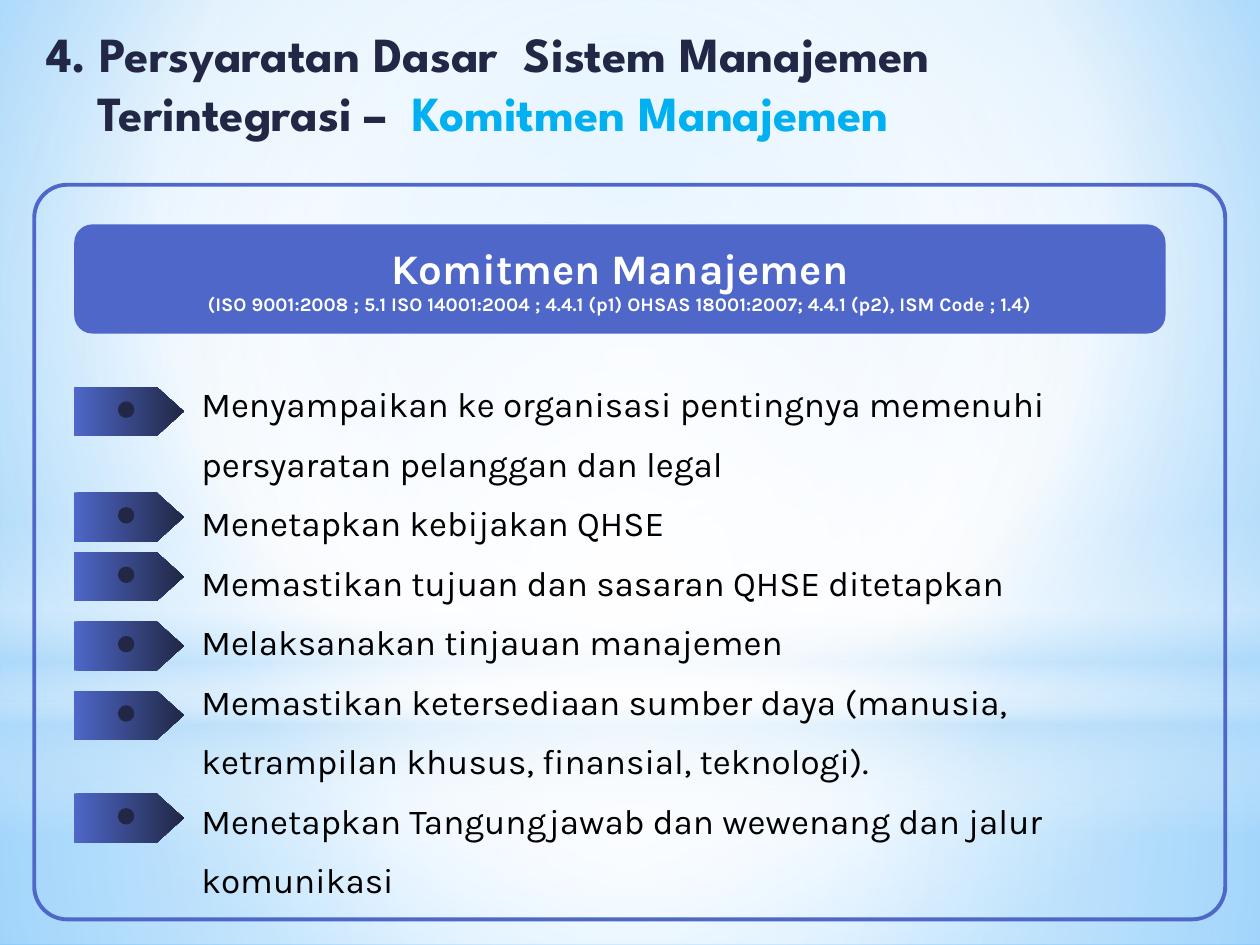
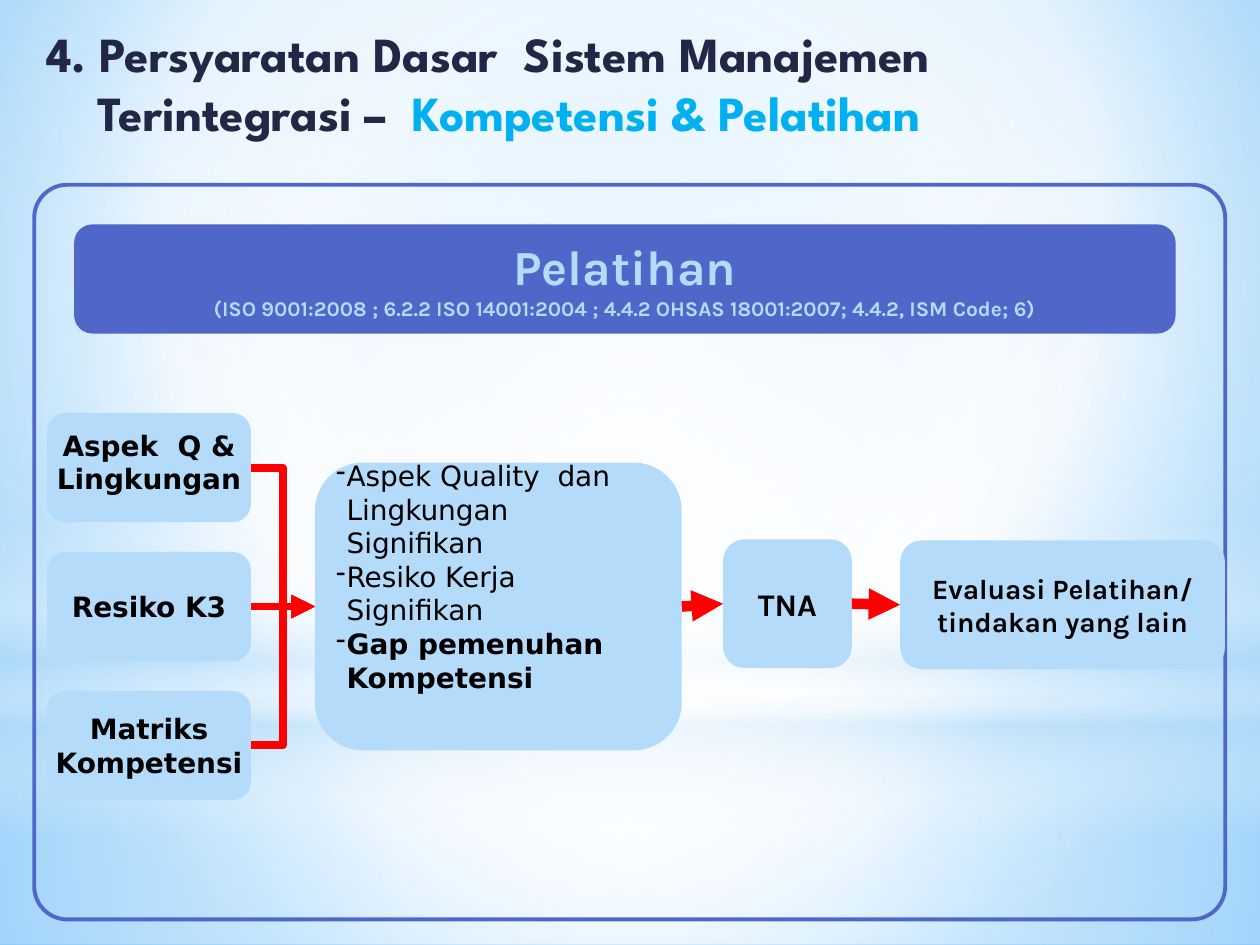
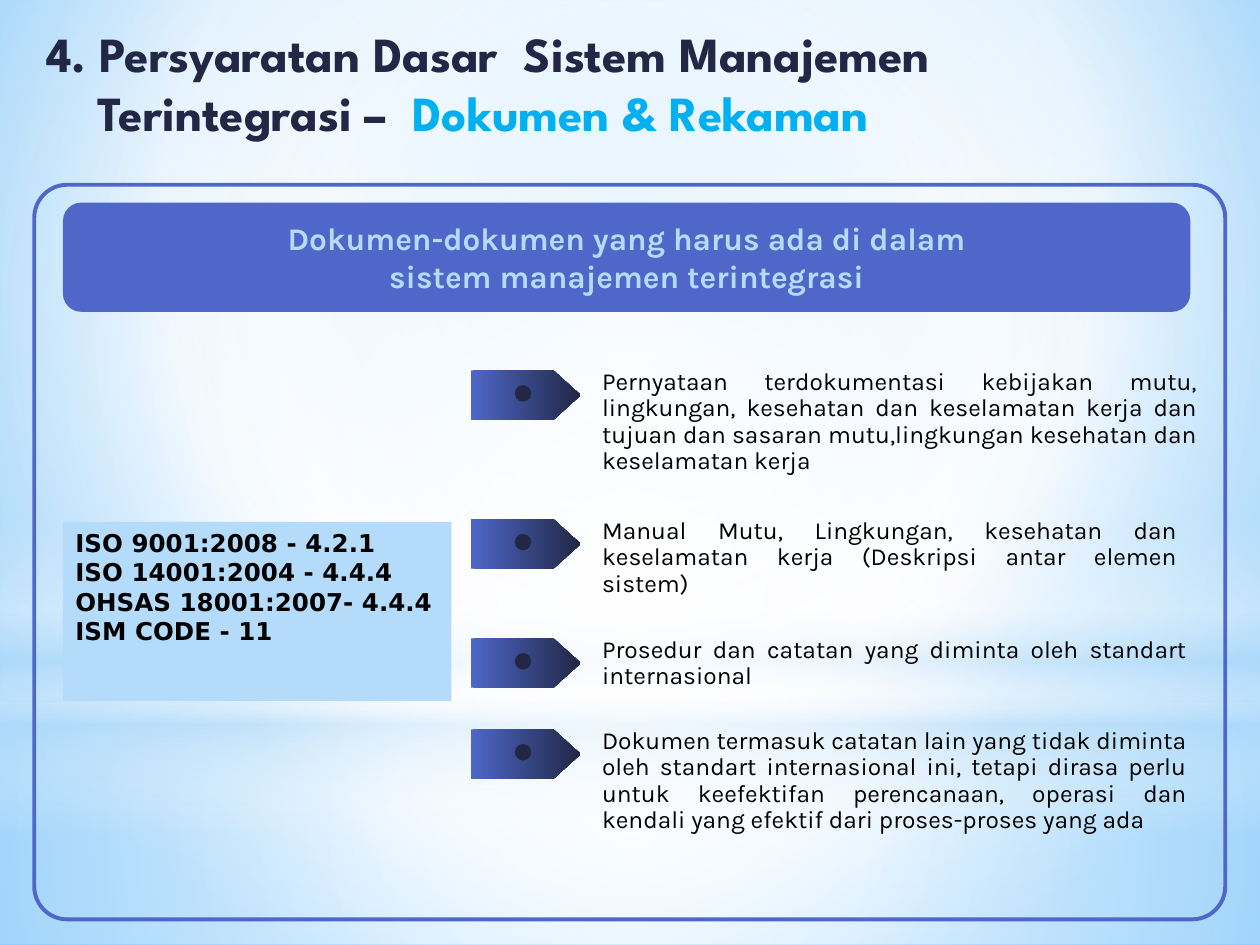
from dataclasses import dataclass

from lxml import etree
from pptx import Presentation
from pptx.dml.color import RGBColor
from pptx.enum.shapes import MSO_CONNECTOR, MSO_SHAPE
from pptx.enum.text import MSO_ANCHOR, PP_ALIGN
from pptx.oxml import parse_xml
from pptx.oxml.ns import qn
from pptx.util import Pt

RECTANGLE, ROUNDED = MSO_SHAPE.RECTANGLE, MSO_SHAPE.ROUNDED_RECTANGLE
OVAL, PENTAGON = MSO_SHAPE.OVAL, MSO_SHAPE.PENTAGON
STRAIGHT, ELBOW = MSO_CONNECTOR.STRAIGHT, MSO_CONNECTOR.ELBOW
LEFT, CENTER, JUSTIFY = PP_ALIGN.LEFT, PP_ALIGN.CENTER, PP_ALIGN.JUSTIFY
TOP, MIDDLE = MSO_ANCHOR.TOP, MSO_ANCHOR.MIDDLE
LEFT_SITE, RIGHT_SITE = 1, 3
DRAWING_NS = "http://schemas.openxmlformats.org/drawingml/2006/main"


@dataclass(frozen=True)
class Theme:
    navy: str = "212745"
    indigo: str = "4E67C8"
    sky: str = "B4DCFA"
    cyan: str = "00B0F0"
    white: str = "FFFFFF"
    black: str = "000000"
    red: str = "FF0000"
    title_font: str = "League Spartan"
    body_font: str = "Karla"
    label_font: str = "DejaVu Sans"
    title_size: int = 28
    list_size: int = 20
    node_size: int = 18
    label_size: int = 16
    small_size: int = 14


THEME = Theme()

# Content: titles and header bands
TITLE_LEAD = ("4. Persyaratan Dasar  Sistem Manajemen", "Terintegrasi –  ")
COMMITMENT_BAND = [
    ("Komitmen Manajemen", 24),
    ("(ISO 9001:2008 ; 5.1 ISO 14001:2004 ; 4.4.1 (p1) OHSAS 18001:2007; "
     "4.4.1 (p2), ISM Code ; 1.4)", 11)]
TRAINING_BAND = [
    ("Pelatihan", 28),
    ("(ISO 9001:2008 ; 6.2.2 ISO 14001:2004 ; 4.4.2 OHSAS 18001:2007; "
     "4.4.2, ISM Code; 6)", 12)]
DOCUMENT_BAND = [
    ("Dokumen-dokumen yang harus ada di dalam", 18),
    ("sistem manajemen terintegrasi", 18)]

# Content: (marker top, text)
COMMITMENTS = [
    (221, "Menyampaikan ke organisasi pentingnya memenuhi persyaratan pelanggan dan legal"),
    (281.4, "Menetapkan kebijakan QHSE"),
    (315.4, "Memastikan tujuan dan sasaran QHSE ditetapkan"),
    (355, "Melaksanakan tinjauan manajemen"),
    (394.6, "Memastikan ketersediaan sumber daya (manusia, ketrampilan khusus, "
            "finansial, teknologi)."),
    (453.4, "Menetapkan Tangungjawab dan wewenang dan jalur komunikasi")]

# Content: training flow
SOURCES = [["Aspek  Q &", "Lingkungan"], ["Resiko K3"], ["Matriks", "Kompetensi"]]
NEEDS = [("Aspek Quality  dan\vLingkungan\vSignifikan", False),
         ("Resiko Kerja\vSignifikan", False),
         ("Gap pemenuhan\vKompetensi", True)]
ANALYSIS = ["TNA"]
EVALUATION = ["Evaluasi Pelatihan/", "tindakan yang lain"]

# Content: (text top, text width, text)
DOCUMENTS = [
    (207.4, 363, "Pernyataan terdokumentasi kebijakan mutu, lingkungan, kesehatan dan "
                 "keselamatan kerja dan tujuan dan sasaran mutu,lingkungan kesehatan dan "
                 "keselamatan kerja"),
    (292.4, 351.4, "Manual Mutu, Lingkungan, kesehatan dan keselamatan kerja "
                   "(Deskripsi antar elemen sistem)"),
    (360.5, 357, "Prosedur dan catatan yang diminta oleh standart internasional"),
    (412.5, 357, "Dokumen termasuk catatan lain yang tidak diminta oleh standart "
                 "internasional ini, tetapi dirasa perlu untuk keefektifan perencanaan, "
                 "operasi dan kendali yang efektif dari proses-proses yang ada")]
CLAUSES = ["ISO 9001:2008 - 4.2.1", "ISO 14001:2004 - 4.4.4",
           "OHSAS 18001:2007- 4.4.4", "ISM CODE - 11"]

# Backdrop: stops are (position, colour, opacity); focus is left, top, right, bottom
CENTRE = (50, 50, 50, 50)
PAGE_STOPS = [(0, "9ED5FF", 100), (60, THEME.white, 100), (100, "5BB9FF", 100)]
BACKDROP = [
    (RECTANGLE, (0, 402, 720, 138), CENTRE,
     [(0, THEME.white, 91), (37, THEME.white, 76), (100, THEME.sky, 79)]),
    (RECTANGLE, (0, 0, 720, 402), CENTRE,
     [(0, THEME.white, 89), (48, THEME.white, 62), (100, THEME.sky, 79)]),
    (RECTANGLE, (0, 297, 720, 180), None,
     [(0, THEME.white, 0), (29, THEME.white, 30), (45, THEME.sky, 40),
      (55, THEME.white, 26), (65, THEME.sky, 60), (100, THEME.white, 0)]),
    (OVAL, (0, 126, 720, 402), CENTRE,
     [(0, THEME.white, 100), (56, THEME.white, 0)])]


def rgb(colour):
    return RGBColor.from_string(colour)


def points(box):
    return [Pt(value) for value in box]


def set_gradient(owner, fill, stops, focus=None, angle=90):
    """Fill with a radial gradient around focus, or a linear one at angle."""
    fill.gradient()
    stop_xml = "".join(
        f'<a:gs pos="{position * 1000}"><a:srgbClr val="{colour}">'
        f'<a:alpha val="{opacity * 1000}"/></a:srgbClr></a:gs>'
        for position, colour, opacity in stops)
    if focus:
        edges = " ".join(f'{side}="{value * 1000}"' for side, value in zip("ltrb", focus))
        direction = f'<a:path path="circle"><a:fillToRect {edges}/></a:path>'
    else:
        direction = f'<a:lin ang="{angle * 60000}" scaled="0"/>'
    gradient = owner.element.find(".//" + qn("a:gradFill"))
    gradient.getparent().replace(gradient, parse_xml(
        f'<a:gradFill xmlns:a="{DRAWING_NS}" rotWithShape="1">'
        f'<a:gsLst>{stop_xml}</a:gsLst>{direction}</a:gradFill>'))


def add_shape(shapes, kind, box, fill=None, adjustment=None):
    shape = shapes.add_shape(kind, *points(box))
    shape.shadow.inherit = False
    shape.line.fill.background()
    if fill:
        shape.fill.solid()
        shape.fill.fore_color.rgb = rgb(fill)
    else:
        shape.fill.background()
    if adjustment is not None:
        shape.adjustments[0] = adjustment
    return shape


def write(shape, lines, font, size, colour, bold=False, align=LEFT, anchor=TOP,
          wrap=True, indent=0, spacing=None):
    """Write one paragraph per line; return the paragraphs."""
    frame = shape.text_frame
    frame.word_wrap = wrap
    frame.vertical_anchor = anchor
    paragraphs = []
    for index, line in enumerate(lines):
        paragraph = frame.add_paragraph() if index else frame.paragraphs[0]
        paragraph.text = line
        paragraph.alignment = align
        if indent:
            paragraph._p.get_or_add_pPr().set("marL", str(Pt(indent)))
        if spacing:
            paragraph.line_spacing = spacing
        paragraph.font.name = font
        paragraph.font.size = Pt(size)
        paragraph.font.bold = bold
        paragraph.font.color.rgb = rgb(colour)
        paragraphs.append(paragraph)
    return paragraphs


def add_band(slide, box, lines, colour):
    band = add_shape(slide.shapes, ROUNDED, box, THEME.indigo, 0.167)
    paragraphs = write(band, [text for text, _ in lines], THEME.body_font, lines[0][1],
                       colour, bold=True, align=CENTER, anchor=MIDDLE, wrap=False)
    for paragraph, (_, size) in zip(paragraphs, lines):
        paragraph.font.size = Pt(size)


def add_marker(slide, left, top):
    group = slide.shapes.add_group_shape()
    arrow = add_shape(group.shapes, PENTAGON, (left, top, 62.6, 28.2), adjustment=0.552)
    set_gradient(arrow, arrow.fill, [(0, THEME.indigo, 100), (100, THEME.navy, 100)], angle=0)
    add_shape(group.shapes, OVAL, (left + 25, top + 8.4, 9.4, 9.4), THEME.navy)


def add_card(slide, box, lines, font, size):
    card = add_shape(slide.shapes, ROUNDED, box, THEME.sky, 0.167)
    write(card, lines, font, size, THEME.black, bold=True, align=CENTER,
          anchor=MIDDLE, wrap=False)
    return card


def add_arrow(slide, kind, start, end, width):
    arrow = slide.shapes.add_connector(kind, 0, 0, 0, 0)
    arrow.begin_connect(start, RIGHT_SITE)
    arrow.end_connect(end, LEFT_SITE)
    arrow.line.color.rgb = rgb(THEME.red)
    arrow.line.width = Pt(width)
    etree.SubElement(arrow.line._get_or_add_ln(), qn("a:tailEnd"), type="triangle")
    etree.SubElement(arrow.element.spPr, qn("a:effectLst"))


def start_slide(presentation, topic):
    """Add a slide with the shared title and rounded frame."""
    slide = presentation.slides.add_slide(presentation.slide_layouts[6])
    title = slide.shapes.add_textbox(*points((19.4, 10, 640, 82)))
    _, second = write(title, TITLE_LEAD, THEME.title_font, THEME.title_size,
                      THEME.navy, bold=True)
    second._p.get_or_add_pPr().set("marL", str(Pt(29.5)))
    run = second.add_run()
    run.text = topic
    run.font.color.rgb = rgb(THEME.cyan)
    frame = add_shape(slide.shapes, ROUNDED, (19.6, 105.6, 680.6, 419.8), adjustment=0.045)
    frame.line.color.rgb = rgb(THEME.indigo)
    frame.line.width = Pt(2.25)
    return slide


def add_backdrop(presentation, slide):
    """Set the page gradient and move the light bands to the blank layout."""
    master = presentation.slide_master
    set_gradient(master, master.background.fill, PAGE_STOPS, (20, 10, 20, 60))
    for kind, box, focus, stops in BACKDROP:
        light = add_shape(slide.shapes, kind, box)
        set_gradient(light, light.fill, stops, focus)
        slide.slide_layout.shapes.element.append(light.element)


def build_commitment(slide):
    add_band(slide, (42.4, 128.2, 623.6, 62.4), COMMITMENT_BAND, THEME.white)
    body = slide.shapes.add_textbox(*points((99.4, 205.2, 581, 276.5)))
    write(body, [text for _, text in COMMITMENTS], THEME.body_font, THEME.list_size,
          THEME.black, indent=8.6, spacing=Pt(34))
    for top, _ in COMMITMENTS:
        add_marker(slide, 42.4, top)


def build_training(slide):
    add_band(slide, (42.4, 128.2, 629.4, 62.4), TRAINING_BAND, THEME.sky)

    # Flow cards
    sources = [add_card(slide, (27, 236 + 79.4 * row, 116.4, 62.4), lines,
                        THEME.label_font, THEME.label_size)
               for row, lines in enumerate(SOURCES)]
    sources[0].text_frame.margin_bottom = Pt(10)
    needs = add_shape(slide.shapes, ROUNDED, (180, 264.4, 209.6, 164.4), THEME.sky, 0.167)
    analysis = add_card(slide, (413.2, 308.2, 73.6, 73.6), ANALYSIS,
                        THEME.body_font, THEME.node_size)
    evaluation = add_card(slide, (514.4, 308.8, 185.6, 73.6), EVALUATION,
                          THEME.body_font, THEME.label_size)

    # Dashed list over the needs card
    listing = slide.shapes.add_textbox(*points((185, 258.5, 204.5, 166.3)))
    paragraphs = write(listing, [text for text, _ in NEEDS], THEME.label_font,
                       THEME.label_size, THEME.black)
    for paragraph, (_, bold) in zip(paragraphs, NEEDS):
        properties = paragraph._p.get_or_add_pPr()
        properties.set("marL", str(Pt(6)))
        properties.set("indent", str(Pt(-6)))
        bullet = parse_xml(f'<a:buChar xmlns:a="{DRAWING_NS}" char="-"/>')
        properties.find(qn("a:defRPr")).addprevious(bullet)
        paragraph.font.bold = bold

    # Arrows
    for source, kind in zip(sources, (ELBOW, STRAIGHT, ELBOW)):
        add_arrow(slide, kind, source, needs, 4.5)
    add_arrow(slide, STRAIGHT, needs, analysis, 6)
    add_arrow(slide, STRAIGHT, analysis, evaluation, 6)


def build_documents(slide):
    add_band(slide, (36, 115.8, 644.2, 62.4), DOCUMENT_BAND, THEME.sky)
    clauses = add_shape(slide.shapes, RECTANGLE, (36, 298.2, 222, 102.4), THEME.sky)
    write(clauses, CLAUSES, THEME.label_font, THEME.small_size, THEME.black, bold=True)
    for top, width, text in DOCUMENTS:
        body = slide.shapes.add_textbox(*points((328.4, top, width, 28)))
        write(body, [text], THEME.body_font, THEME.small_size, THEME.black,
              align=JUSTIFY, indent=8.6, spacing=0.9)
        add_marker(slide, 269.2, top + 4.3)


def main():
    presentation = Presentation()
    presentation.slide_width, presentation.slide_height = Pt(720), Pt(540)
    pages = [("Komitmen Manajemen", build_commitment),
             ("Kompetensi & Pelatihan", build_training),
             ("Dokumen & Rekaman", build_documents)]
    for topic, build in pages:
        build(start_slide(presentation, topic))
    add_backdrop(presentation, presentation.slides[0])
    presentation.save("out.pptx")


if __name__ == "__main__":
    main()
